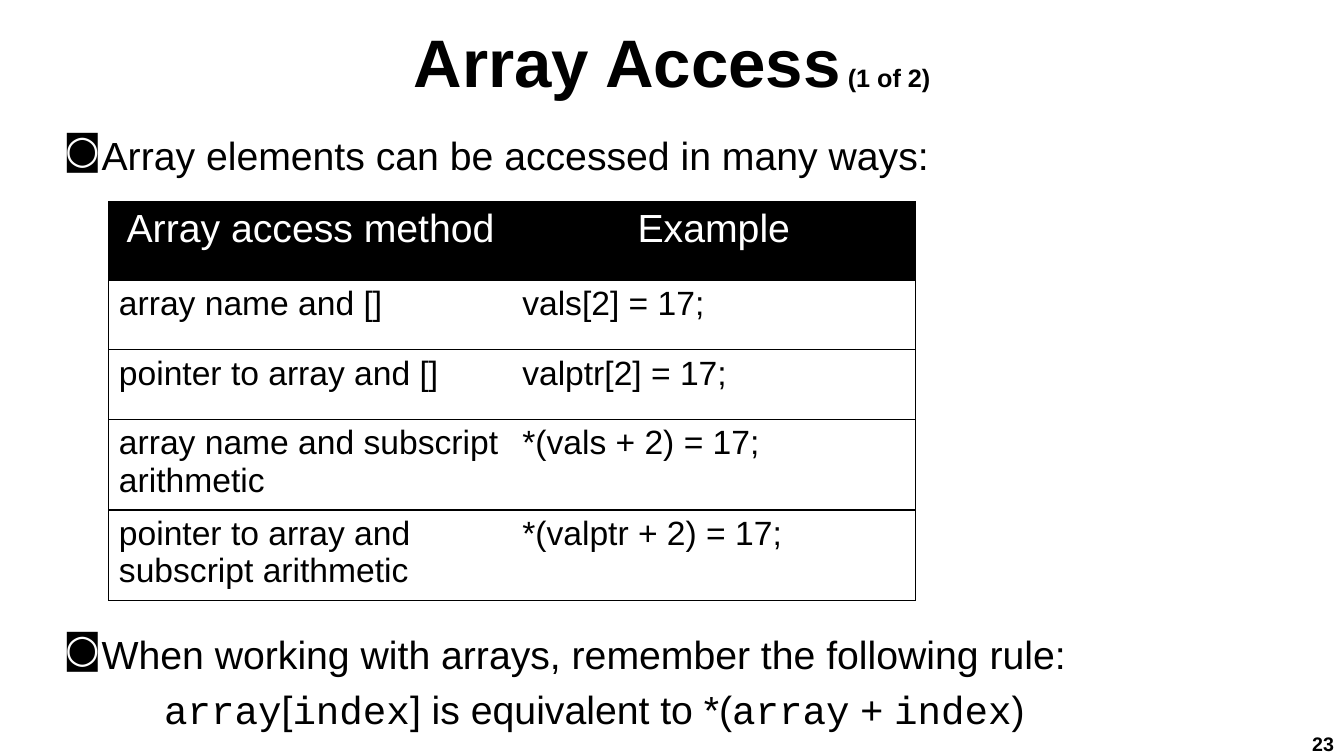
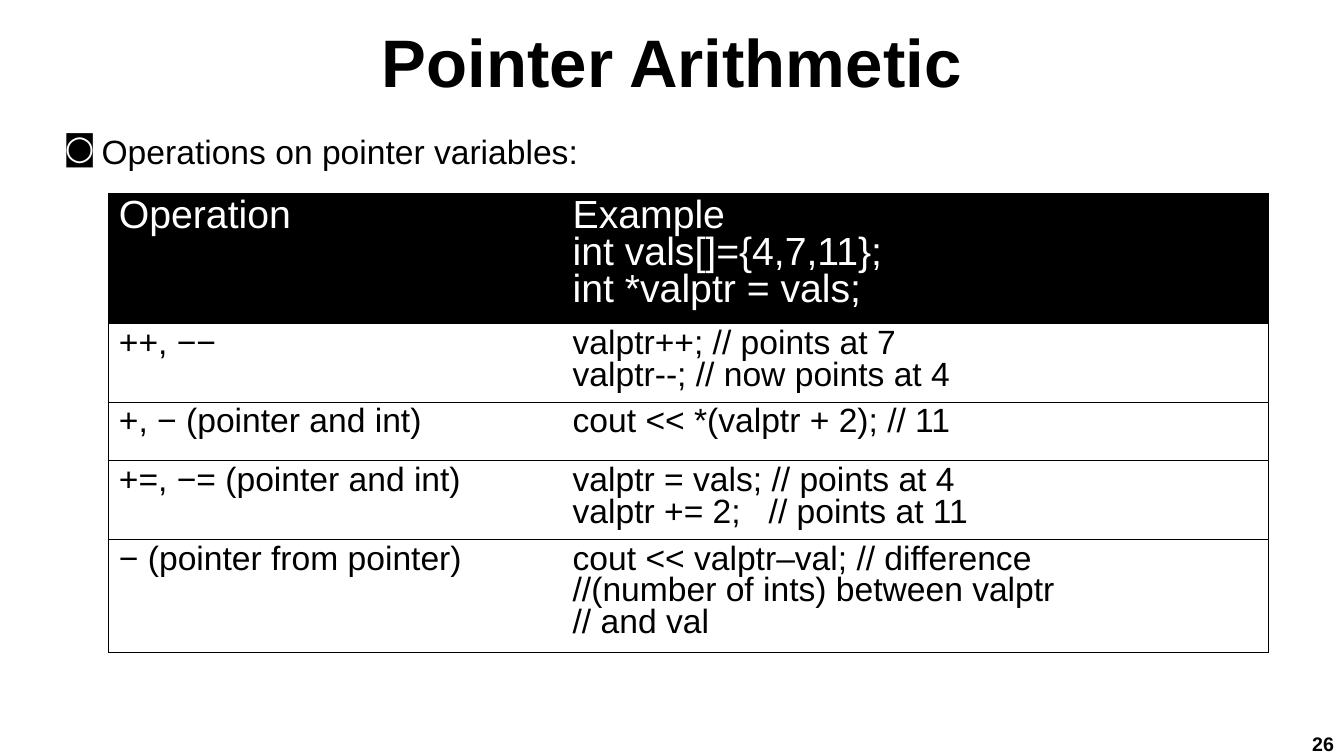
from pptx import Presentation
from pptx.dml.color import RGBColor
from pptx.enum.text import MSO_ANCHOR, PP_ALIGN
from pptx.oxml.ns import qn
from pptx.util import Inches, Pt
from lxml import etree

LEFT, CENTER, RIGHT = PP_ALIGN.LEFT, PP_ALIGN.CENTER, PP_ALIGN.RIGHT
MIDDLE = MSO_ANCHOR.MIDDLE
COLORS = {"ink": "000000", "paper": "FFFFFF"}
SANS, MONO = "Arial", "Courier New"

SLIDES = [
    {
        "title": [("Array Access", 48), (" (1 of 2)", 18)],
        "number": "23",
        "size": 28,
        "blocks": [
            (1.25, ["Array elements can be accessed in many ways:"]),
            (6.2, ["When working with arrays, remember the following rule:"]),
        ],
        "rule": [("array", MONO), ("[", SANS), ("index", MONO),
                 ("] is equivalent to *(", SANS), ("array", MONO),
                 (" + ", SANS), ("index", MONO), (")", SANS)],
        "top": 2,
        "cols": [4, 4],
        "heights": [0.78, 0.69, 0.69, 0.84, 0.84],
        "header_align": CENTER,
        "spacing": 1.0,
        "rows": [
            ("Array access method", "Example"),
            ("array name and []", "vals[2] = 17;"),
            ("pointer to array and []", "valptr[2] = 17;"),
            ("array name and subscript arithmetic", "*(vals + 2) = 17;"),
            ("pointer to array and subscript arithmetic", "*(valptr + 2) = 17;"),
        ],
    },
    {
        "title": [("Pointer Arithmetic", 48)],
        "number": "26",
        "size": 24,
        "blocks": [(1.25, ["Operations on pointer variables:"])],
        "rule": [],
        "top": 1.92,
        "cols": [4.5, 7],
        "heights": [1.19, 0.73, 0.58, 0.73, 1.05],
        "header_align": LEFT,
        "spacing": 0.85,
        "rows": [
            ("Operation", "Example\nint vals[]={4,7,11};\nint *valptr = vals;"),
            ("++, −−", "valptr++; // points at 7\nvalptr--; // now points at 4"),
            ("+, − (pointer and int)", "cout << *(valptr + 2); // 11"),
            ("+=, −= (pointer and int)",
             "valptr = vals; // points at 4\nvalptr += 2;   // points at 11"),
            ("− (pointer from pointer)",
             "cout << valptr–val; // difference\n"
             "//(number of ints) between valptr\n// and val"),
        ],
    },
]


def style(p, size, color="ink", bold=False, align=LEFT):
    p.alignment = align
    for r in p.runs:
        r.font.size = Pt(size)
        r.font.name = r.font.name or SANS
        r.font.bold = bold
        r.font.color.rgb = RGBColor.from_string(COLORS[color])


def set_borders(cell, sides):
    tcPr = cell._tc.get_or_add_tcPr()
    for i, side in enumerate("LRTB"):
        ln = etree.Element(qn("a:ln" + side), w=str(Pt(1)))
        if side in sides:
            fill = etree.SubElement(ln, qn("a:solidFill"))
            etree.SubElement(fill, qn("a:srgbClr"), val=COLORS["ink"])
        else:
            etree.SubElement(ln, qn("a:noFill"))
        tcPr.insert(i, ln)


prs = Presentation()
prs.slide_width, prs.slide_height = Inches(13.33), Inches(7.5)
title_only = prs.slide_layouts[5]

for data in SLIDES:
    s = prs.slides.add_slide(title_only)

    title = s.shapes.title
    title.left, title.top = Inches(0), Inches(0)
    title.width, title.height = Inches(13.33), Inches(1.2)
    title.text_frame.vertical_anchor = MIDDLE
    p = title.text_frame.paragraphs[0]
    for text, size in data["title"]:
        r = p.add_run()
        r.text = text
    style(p, 48, bold=True, align=CENTER)
    for r, (text, size) in zip(p.runs, data["title"]):
        r.font.size = Pt(size)

    for top, lines in data["blocks"]:
        tf = s.shapes.add_textbox(Inches(0.53), Inches(top), Inches(12.8), Inches(0.6)).text_frame
        tf.word_wrap = True
        tf.text = "\n".join(lines)
        for p in tf.paragraphs:
            p.space_before = Pt(6)
            style(p, data["size"])
            pPr = p._p.get_or_add_pPr()
            pPr.set("marL", str(Inches(0.38)))
            pPr.set("indent", str(-Inches(0.38)))
            color = etree.SubElement(pPr, qn("a:buClr"))
            etree.SubElement(color, qn("a:srgbClr"), val=COLORS["ink"])
            etree.SubElement(pPr, qn("a:buChar"), char="◙")

    if data["rule"]:
        p = tf.add_paragraph()
        p.space_before = Pt(6)
        p._p.get_or_add_pPr().set("marL", str(Inches(1)))
        for text, font in data["rule"]:
            r = p.add_run()
            r.text = text
            r.font.name = font
        style(p, data["size"])

    table = s.shapes.add_table(
        len(data["rows"]), len(data["cols"]), Inches(1.08), Inches(data["top"]),
        Inches(sum(data["cols"])), Inches(sum(data["heights"]))).table
    table.first_row = table.horz_banding = False
    for column, width in zip(table.columns, data["cols"]):
        column.width = Inches(width)
    for i, (height, texts) in enumerate(zip(data["heights"], data["rows"])):
        table.rows[i].height = Inches(height)
        header = i == 0
        for j, text in enumerate(texts):
            cell = table.cell(i, j)
            cell.text_frame.text = text
            cell.fill.solid()
            cell.fill.fore_color.rgb = RGBColor.from_string(COLORS["ink" if header else "paper"])
            set_borders(cell, "RTB" if j else "LTB")
            for p in cell.text_frame.paragraphs:
                p.line_spacing = data["spacing"]
                style(p, 28 if header else 24, "paper" if header else "ink",
                      align=data["header_align"] if header else LEFT)

    tf = s.shapes.add_textbox(Inches(12.73), Inches(7.25), Inches(0.6), Inches(0.25)).text_frame
    tf.word_wrap = True
    tf.vertical_anchor = MIDDLE
    tf.text = data["number"]
    style(tf.paragraphs[0], 14, bold=True, align=RIGHT)

prs.save("out.pptx")
